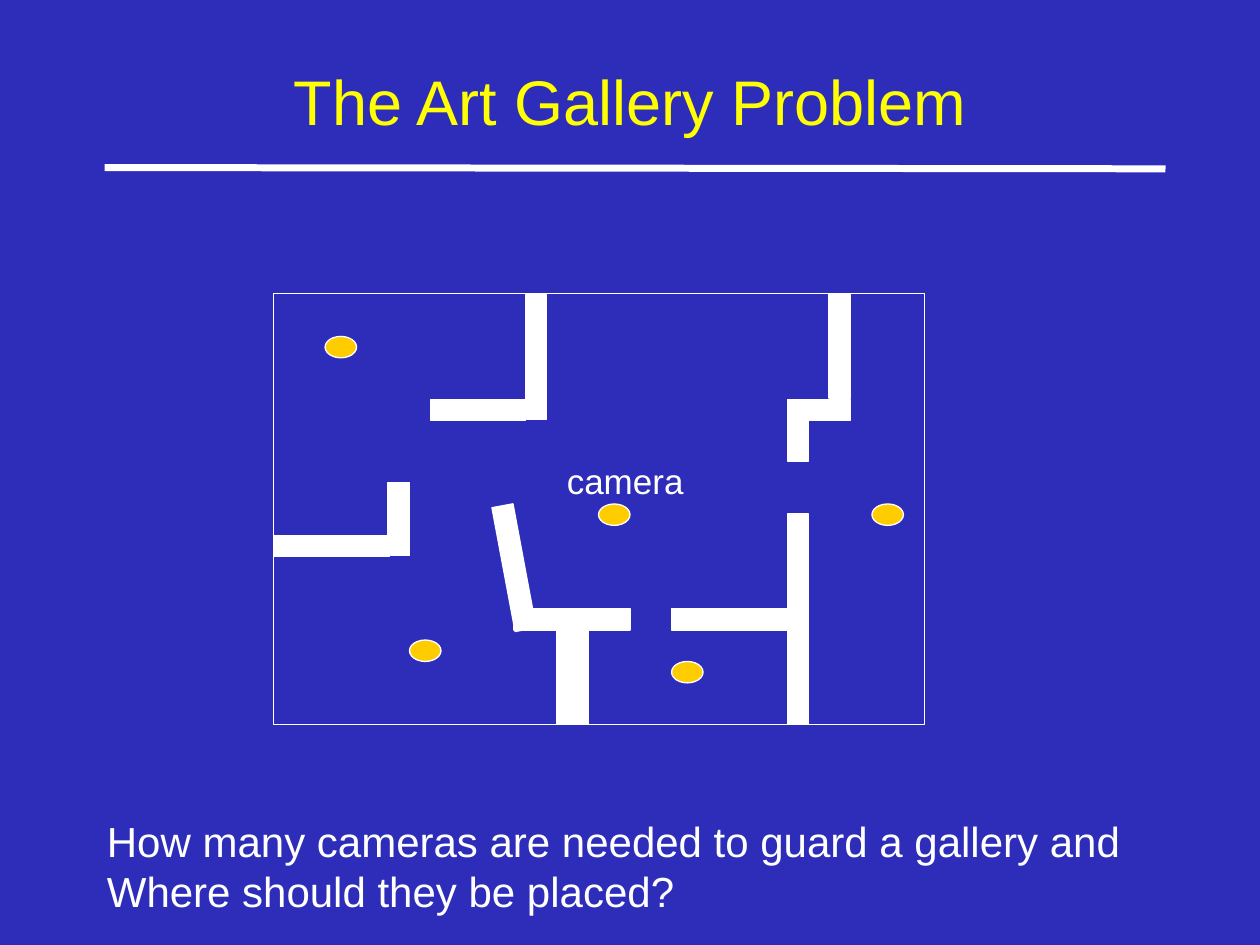
from typing import NamedTuple

from lxml.etree import SubElement
from pptx import Presentation
from pptx.dml.color import RGBColor
from pptx.enum.shapes import MSO_CONNECTOR, MSO_SHAPE
from pptx.enum.text import MSO_ANCHOR, MSO_AUTO_SIZE, PP_ALIGN
from pptx.oxml.ns import qn
from pptx.util import Inches, Pt

BLUE, WHITE, YELLOW, GOLD = "2D2DB9", "FFFFFF", "FFFF00", "FFCC00"
THICK = 0.17  # thickness of a wall, height of a camera


class Box(NamedTuple):
    left: float
    top: float
    width: float
    height: float
    rotation: float = 0


GALLERY = Box(2.17, 2.33, 5.17, 3.42)
WALLS = [
    Box(2.17, 4.25, 0.92, THICK),
    Box(3.08, 3.83, THICK, 0.58),
    Box(4.42, 5, 0.25, 0.75),
    Box(4.08, 4.83, 0.92, THICK),
    Box(6.25, 4.08, THICK, 1.67),
    Box(5.33, 4.83, 0.92, THICK),
    Box(6.58, 2.33, THICK, 0.83),
    Box(6.25, 3.17, 0.5, THICK),
    Box(6.25, 3.33, THICK, 0.33),
    Box(4.17, 2.33, THICK, 1),
    Box(3.42, 3.17, 0.75, THICK),
    Box(3.58, 4.42, 1, THICK, rotation=259.4),
]
CAMERA_CORNERS = [(2.58, 2.67), (3.25, 5.08), (4.75, 4), (5.33, 5.25), (6.92, 4)]


def rgb(color: str) -> RGBColor:
    return RGBColor.from_string(color)


def inches(box: Box) -> list:
    return [Inches(length) for length in box[:4]]


def write(frame, text: str, *, size: float, color: str = WHITE,
          align=PP_ALIGN.LEFT, anchor=MSO_ANCHOR.TOP, wrap: bool = False,
          auto_size=MSO_AUTO_SIZE.SHAPE_TO_FIT_TEXT) -> None:
    frame.text = text
    frame.word_wrap = wrap
    frame.auto_size = auto_size
    frame.vertical_anchor = anchor
    for paragraph in frame.paragraphs:
        paragraph.alignment = align
        font = paragraph.font
        font.name, font.size = "Arial", Pt(size)
        font.color.rgb = rgb(color)


def draw(slide, kind, box: Box, fill: str | None = None) -> None:
    """Add a white-outlined shape, hollow unless a fill is given."""
    shape = slide.shapes.add_shape(kind, *inches(box))
    shape.rotation = box.rotation
    shape.shadow.inherit = False
    shape.line.color.rgb = rgb(WHITE)
    shape.line.width = Pt(0.75)
    if fill:
        shape.fill.solid()
        shape.fill.fore_color.rgb = rgb(fill)
    else:
        shape.fill.background()


def draw_rule(slide) -> None:
    rule = slide.shapes.add_connector(
        MSO_CONNECTOR.STRAIGHT, Inches(0.83), Inches(1.33), Inches(9.25), Inches(1.34))
    rule.line.color.rgb = rgb(WHITE)
    rule.line.width = Pt(4)
    SubElement(rule._element.spPr, qn("a:effectLst"))


def add_text(slide, box: Box, text: str, size: float) -> None:
    write(slide.shapes.add_textbox(*inches(box)).text_frame, text, size=size)


def main() -> None:
    deck = Presentation()
    deck.slide_width, deck.slide_height = Inches(10), Inches(7.5)
    slide = deck.slides.add_slide(deck.slide_layouts[5])
    slide.background.fill.solid()
    slide.background.fill.fore_color.rgb = rgb(BLUE)

    title = slide.shapes.title
    title.left, title.top, title.width, title.height = inches(Box(0.75, 0.17, 8.5, 1.25))
    write(title.text_frame, "The Art Gallery Problem", size=36, color=YELLOW,
          align=PP_ALIGN.CENTER, anchor=MSO_ANCHOR.MIDDLE, wrap=True,
          auto_size=MSO_AUTO_SIZE.NONE)
    draw_rule(slide)

    draw(slide, MSO_SHAPE.RECTANGLE, GALLERY)
    for wall in WALLS:
        draw(slide, MSO_SHAPE.RECTANGLE, wall, WHITE)
    for left, top in CAMERA_CORNERS:
        draw(slide, MSO_SHAPE.OVAL, Box(left, top, 0.25, THICK), GOLD)

    add_text(slide, Box(4.4, 3.6, 1.13, 0.43), "camera", 20)
    add_text(slide, Box(0.75, 6.42, 8.42, 0.91),
             "How many cameras are needed to guard a gallery and\n"
             "Where should they be placed?", 24)
    deck.save("out.pptx")


if __name__ == "__main__":
    main()
